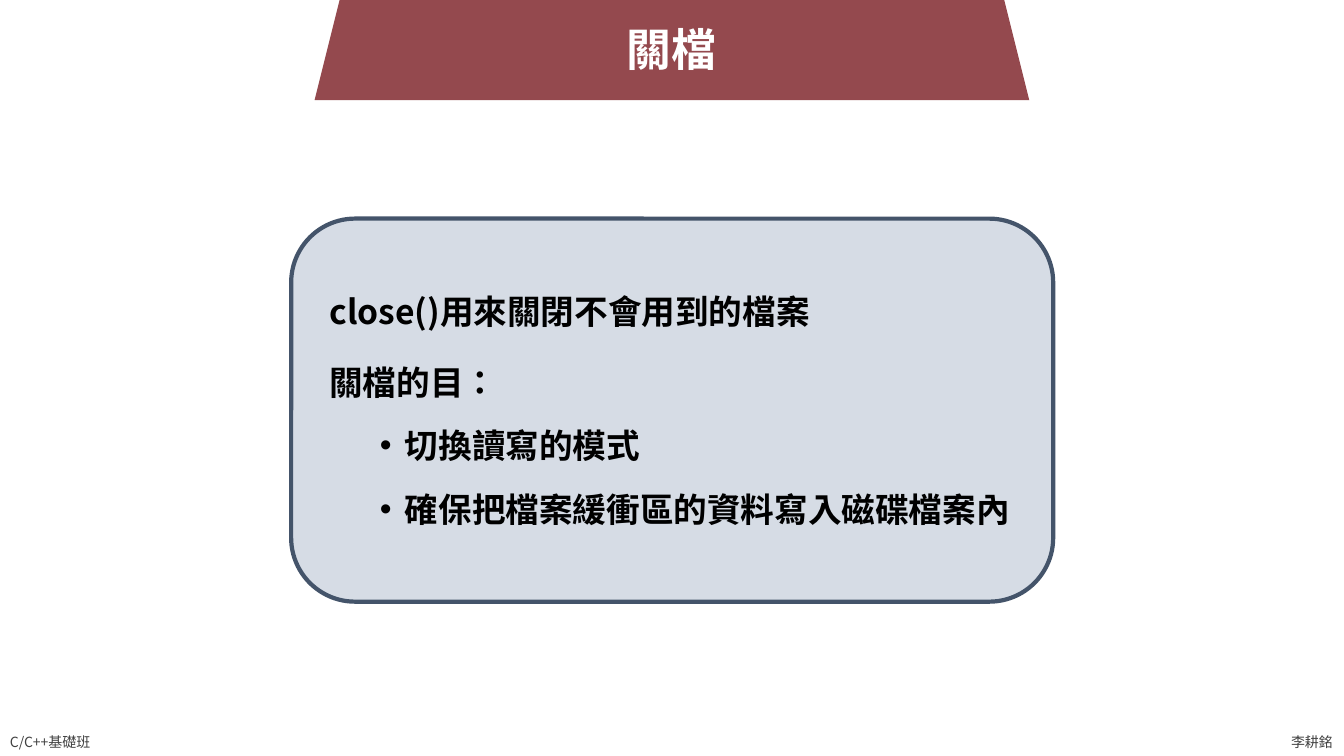
from dataclasses import dataclass

from lxml import etree
from pptx import Presentation
from pptx import util as u
from pptx.dml.color import RGBColor
from pptx.enum import shapes, text
from pptx.oxml import ns

FONT = "Noto Sans CJK TC"
LANGUAGE = "zh-TW"
WHITE = RGBColor(0xFF, 0xFF, 0xFF)
BLACK = RGBColor(0x00, 0x00, 0x00)
GRAY = RGBColor(0x40, 0x40, 0x40)
MAROON = RGBColor(0x94, 0x49, 0x4E)
PALE_BLUE = RGBColor(0xD6, 0xDC, 0xE5)
SLATE = RGBColor(0x44, 0x54, 0x6A)

BODY_SPACING = 1.4
BULLET_MARGIN = u.Pt(54)
BULLET_HANGING = u.Pt(-18)


@dataclass(frozen=True)
class Box:
    left: float
    top: float
    width: float
    height: float

    def lengths(self) -> tuple:
        return tuple(u.Pt(n) for n in (self.left, self.top, self.width, self.height))


@dataclass(frozen=True)
class Panel:
    kind: shapes.MSO_SHAPE
    box: Box
    fill: RGBColor
    line: RGBColor | None = None


@dataclass(frozen=True)
class Line:
    wording: str
    space_before: float = 0
    bullet: bool = False


@dataclass(frozen=True)
class Label:
    box: Box
    lines: tuple[Line, ...]
    size: float
    color: RGBColor
    bold: bool = False
    wrap: bool = False
    spacing: float = 1.0
    align: text.PP_ALIGN = text.PP_ALIGN.LEFT
    anchor: text.MSO_ANCHOR = text.MSO_ANCHOR.TOP


PANELS = (
    Panel(shapes.MSO_SHAPE.ROUNDED_RECTANGLE, Box(208, 156.2, 544.3, 273.6), PALE_BLUE, SLATE),
    Panel(shapes.MSO_SHAPE.TRAPEZOID, Box(224.7, -16.3, 510.5, 87.8), MAROON),
)

LABELS = (
    # Footer
    Label(Box(0, 520.6, 77, 19.4), (Line("C/C++基礎班"),), 10, GRAY),
    Label(Box(915.1, 520.6, 44.6, 19.4), (Line("李耕銘"),), 10, GRAY,
          anchor=text.MSO_ANCHOR.MIDDLE),
    # Title
    Label(Box(440.3, 12.2, 79.2, 46.1), (Line("關檔"),), 32, WHITE, bold=True,
          align=text.PP_ALIGN.CENTER),
    # Body
    Label(Box(228.2, 193, 503.3, 199.4), (
        Line("close()用來關閉不會用到的檔案"),
        Line("關檔的目：", 10),
        Line("切換讀寫的模式", 5, bullet=True),
        Line("確保把檔案緩衝區的資料寫入磁碟檔案內", 5, bullet=True),
    ), 24, BLACK, bold=True, wrap=True, spacing=BODY_SPACING),
)


def draw_panel(slide, panel: Panel) -> None:
    shape = slide.shapes.add_shape(panel.kind, *panel.box.lengths())
    shape.shadow.inherit = False
    shape.fill.solid()
    shape.fill.fore_color.rgb = panel.fill
    if panel.line is None:
        shape.line.fill.background()
    else:
        shape.line.color.rgb = panel.line
        shape.line.width = u.Pt(3)


def add_bullet(paragraph) -> None:
    properties = paragraph._p.get_or_add_pPr()
    properties.set("marL", str(BULLET_MARGIN))
    properties.set("indent", str(BULLET_HANGING))
    etree.SubElement(properties, ns.qn("a:buFont"), typeface="Arial")
    etree.SubElement(properties, ns.qn("a:buChar"), char="•")


def add_run(paragraph, wording: str, label: Label) -> None:
    run = paragraph.add_run()
    run.text = wording
    run.font.name = FONT
    run.font.size = u.Pt(label.size)
    run.font.bold = label.bold
    run.font.color.rgb = label.color
    # East Asian characters take their own typeface and language
    run.font._element.set("lang", LANGUAGE)
    etree.SubElement(run.font._element, ns.qn("a:ea"), typeface=FONT)


def draw_label(slide, label: Label) -> None:
    frame = slide.shapes.add_textbox(*label.box.lengths()).text_frame
    frame.word_wrap = label.wrap
    frame.vertical_anchor = label.anchor
    for index, line in enumerate(label.lines):
        paragraph = frame.add_paragraph() if index else frame.paragraphs[0]
        if line.bullet:
            paragraph.level = 1
            add_bullet(paragraph)
        paragraph.alignment = label.align
        paragraph.line_spacing = label.spacing
        if line.space_before:
            paragraph.space_before = u.Pt(line.space_before)
        add_run(paragraph, line.wording, label)


def main() -> None:
    presentation = Presentation()
    presentation.slide_width = u.Pt(960)
    presentation.slide_height = u.Pt(540)
    slide = presentation.slides.add_slide(presentation.slide_layouts[6])
    for panel in PANELS:
        draw_panel(slide, panel)
    for label in LABELS:
        draw_label(slide, label)
    presentation.save("out.pptx")


if __name__ == "__main__":
    main()
